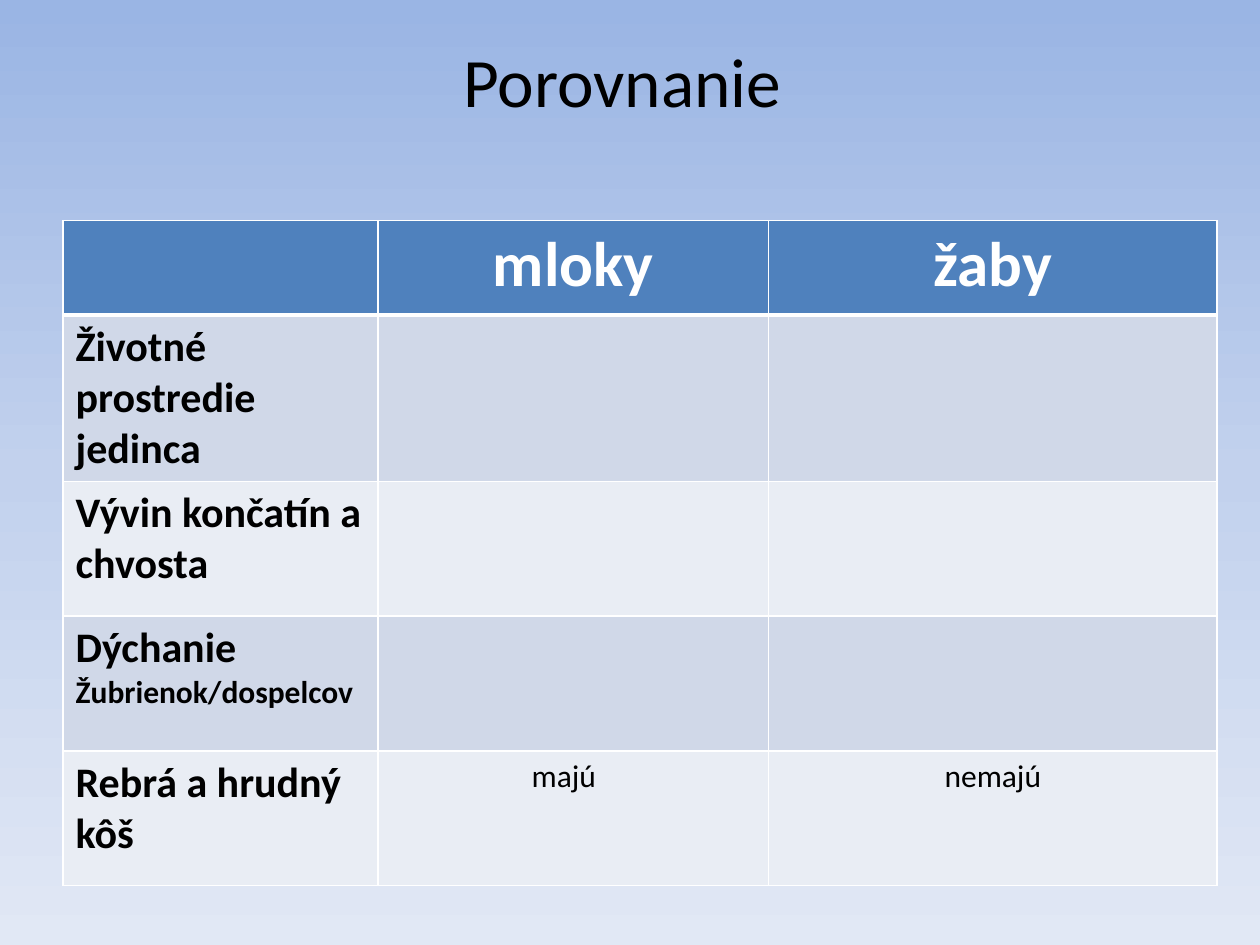
from lxml.etree import SubElement
from pptx import Presentation
from pptx.dml.color import RGBColor
from pptx.enum.text import MSO_ANCHOR, PP_ALIGN
from pptx.oxml.ns import qn
from pptx.util import Inches, Pt

BLACK = RGBColor(0x00, 0x00, 0x00)
WHITE = RGBColor(0xFF, 0xFF, 0xFF)
HEADER_BLUE = RGBColor(0x4F, 0x81, 0xBD)
BANDS = (RGBColor(0xD0, 0xD8, 0xE8), RGBColor(0xE9, 0xED, 0xF4))
BACKGROUND = ((0, RGBColor(0x9A, 0xB5, 0xE4)),
              (50, RGBColor(0xC2, 0xD1, 0xED)),
              (100, RGBColor(0xE1, 0xE8, 0xF5)))
FONT = "Calibri"

# Content: each cell is a list of (paragraph, size)
TITLE = "Porovnanie"
ROWS = [
    [[], [("mloky", 36)], [("žaby", 36)]],
    [[("Životné prostredie", 24), ("jedinca", 24)], [], []],
    [[("Vývin končatín a chvosta", 24)], [], []],
    [[("Dýchanie", 24), ("Žubrienok/dospelcov", 18)], [], []],
    [[("Rebrá a hrudný kôš", 24)], [("majú", 18)], [("nemajú", 18)]],
]
COLUMN_WIDTHS = (2.5, 3.1, 3.56)
ROW_HEIGHTS = (0.75,) + (1.07,) * 4


def add_color(parent, color):
    SubElement(parent, qn("a:srgbClr"), val=str(color))


def style_font(font, size, color, bold=False):
    font.name, font.size, font.bold = FONT, Pt(size), bold
    font.color.rgb = color


def set_borders(cell, top, bottom):
    properties = cell._tc.get_or_add_tcPr()
    for side, width in (("L", 1), ("R", 1), ("T", top), ("B", bottom)):
        line = SubElement(properties, qn(f"a:ln{side}"), w=str(Pt(width)))
        add_color(SubElement(line, qn("a:solidFill")), WHITE)


def fill_cell(cell, content, row, column):
    header = row == 0
    set_borders(cell, 3 if row == 1 else 1, 3 if header else 1)
    cell.fill.solid()
    cell.fill.fore_color.rgb = HEADER_BLUE if header else BANDS[(row - 1) % 2]
    cell.text_frame.text = "\n".join(text for text, size in content)
    for para, (text, size) in zip(cell.text_frame.paragraphs, content):
        para.alignment = PP_ALIGN.CENTER if column else PP_ALIGN.LEFT
        for span in para.runs:
            style_font(span.font, size, WHITE if header else BLACK,
                       bold=header or column == 0)


deck = Presentation()
deck.slide_width, deck.slide_height = Inches(10), Inches(7.5)
page = deck.slides.add_slide(deck.slide_layouts[5])

# Background gradient, top to bottom
backdrop = page.background.fill
backdrop.gradient()
backdrop.gradient_angle = 270
stops = page.element.xpath(".//a:gsLst")[0]
for stop in list(stops):
    stops.remove(stop)
for position, color in BACKGROUND:
    add_color(SubElement(stops, qn("a:gs"), pos=str(position * 1000)), color)

# Title
title = page.shapes.title
title.left, title.top = Inches(0.5), Inches(0.3)
title.width, title.height = Inches(9), Inches(1.25)
frame = title.text_frame
frame.text = TITLE
frame.vertical_anchor = MSO_ANCHOR.TOP
frame.margin_top, frame.margin_right = 0, Inches(0.22)
frame.paragraphs[0].alignment = PP_ALIGN.CENTER
style_font(frame.paragraphs[0].runs[0].font, 39.6, BLACK)

# Comparison table
table = page.shapes.add_table(
    len(ROWS), len(COLUMN_WIDTHS), Inches(0.5), Inches(1.75),
    Inches(sum(COLUMN_WIDTHS)), Inches(sum(ROW_HEIGHTS))).table
for column, width in zip(table.columns, COLUMN_WIDTHS):
    column.width = Inches(width)
for row, height in zip(table.rows, ROW_HEIGHTS):
    row.height = Inches(height)
for r, cells in enumerate(ROWS):
    for c, content in enumerate(cells):
        fill_cell(table.cell(r, c), content, r, c)
table.cell(4, 1).margin_right = Inches(0.25)

deck.save("out.pptx")
